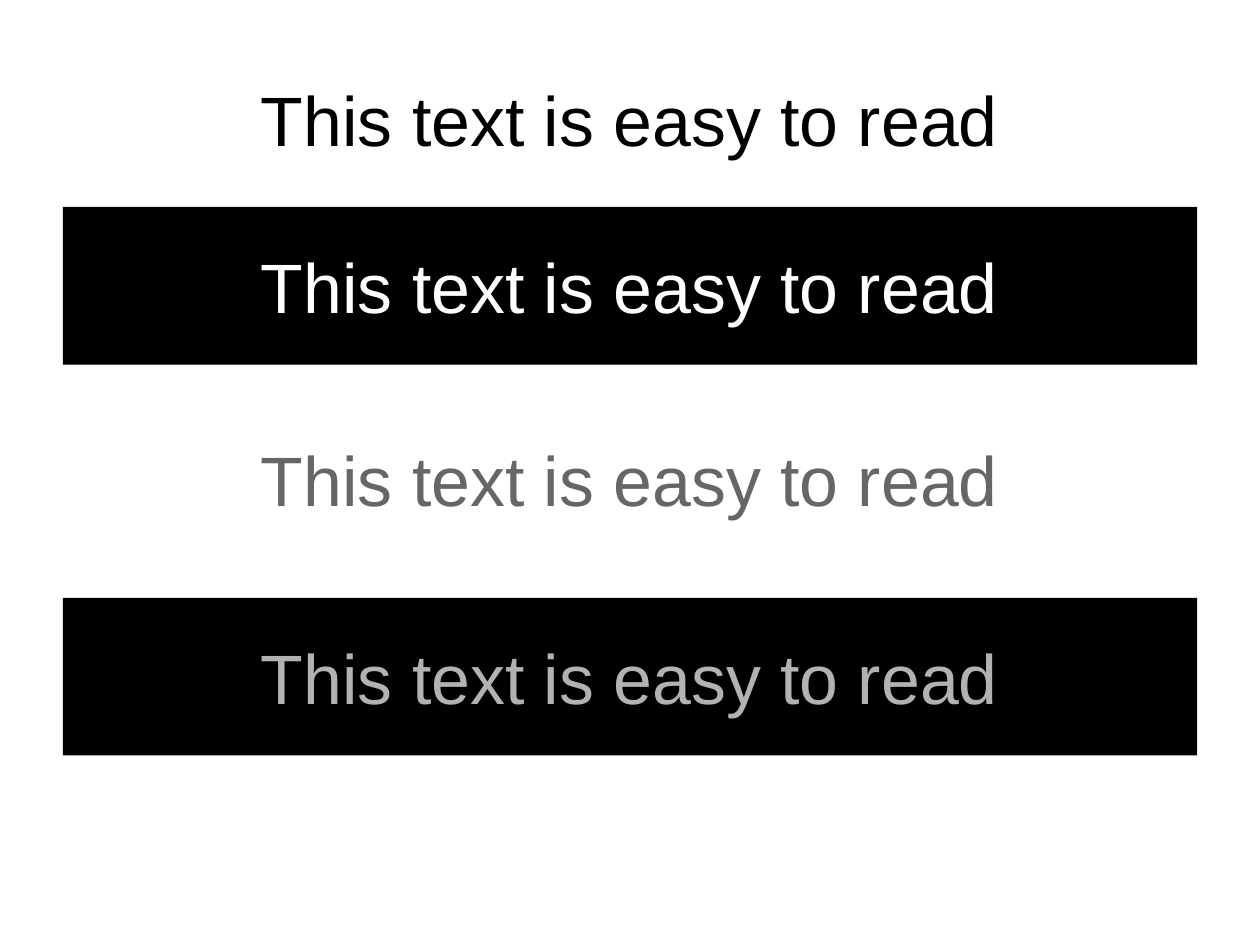
import pptx
import pptx.util
import pptx.dml.color
import pptx.enum.text
from dataclasses import dataclass

Inches = pptx.util.Inches
SENTENCE = "This text is easy to read"

# top in inches, text colour, band colour (None for no band)
BANDS = [
    (0.35, "000000", None),
    (1.81, "FFFFFF", "000000"),
    (3.5, "666666", None),
    (5.23, "B2B2B2", "000000"),
]


@dataclass(frozen=True)
class Theme:
    font: str = "Arial"
    size: int = 44
    background: str = "FFFFFF"


THEME = Theme()
CM_PER_INCH = 2.54
PAGE_WIDTH, PAGE_HEIGHT = 28 / CM_PER_INCH, 21 / CM_PER_INCH
MARGIN = 0.55
BAND_WIDTH, BAND_HEIGHT = PAGE_WIDTH - 2 * MARGIN, 1.38


def paint(fill, colour):
    fill.solid()
    fill.fore_color.rgb = pptx.dml.color.RGBColor.from_string(colour)


def add_band(page, top, text_colour, band_colour):
    box = page.shapes.add_textbox(
        Inches(MARGIN), Inches(top), Inches(BAND_WIDTH), Inches(BAND_HEIGHT))
    if band_colour:
        paint(box.fill, band_colour)
    frame = box.text_frame
    frame.text = SENTENCE
    frame.word_wrap = True
    frame.vertical_anchor = pptx.enum.text.MSO_ANCHOR.MIDDLE
    frame.margin_left = frame.margin_right = 0
    frame.margin_top = frame.margin_bottom = 0
    para = frame.paragraphs[0]
    para.alignment = pptx.enum.text.PP_ALIGN.CENTER
    font = para.runs[0].font
    font.name = THEME.font
    font.size = pptx.util.Pt(THEME.size)
    paint(font.fill, text_colour)


def main():
    deck = pptx.Presentation()
    deck.slide_width = Inches(PAGE_WIDTH)
    deck.slide_height = Inches(PAGE_HEIGHT)
    page = deck.slides.add_slide(deck.slide_layouts[6])
    paint(page.background.fill, THEME.background)
    for top, text_colour, band_colour in BANDS:
        add_band(page, top, text_colour, band_colour)
    deck.save("out.pptx")


if __name__ == "__main__":
    main()
